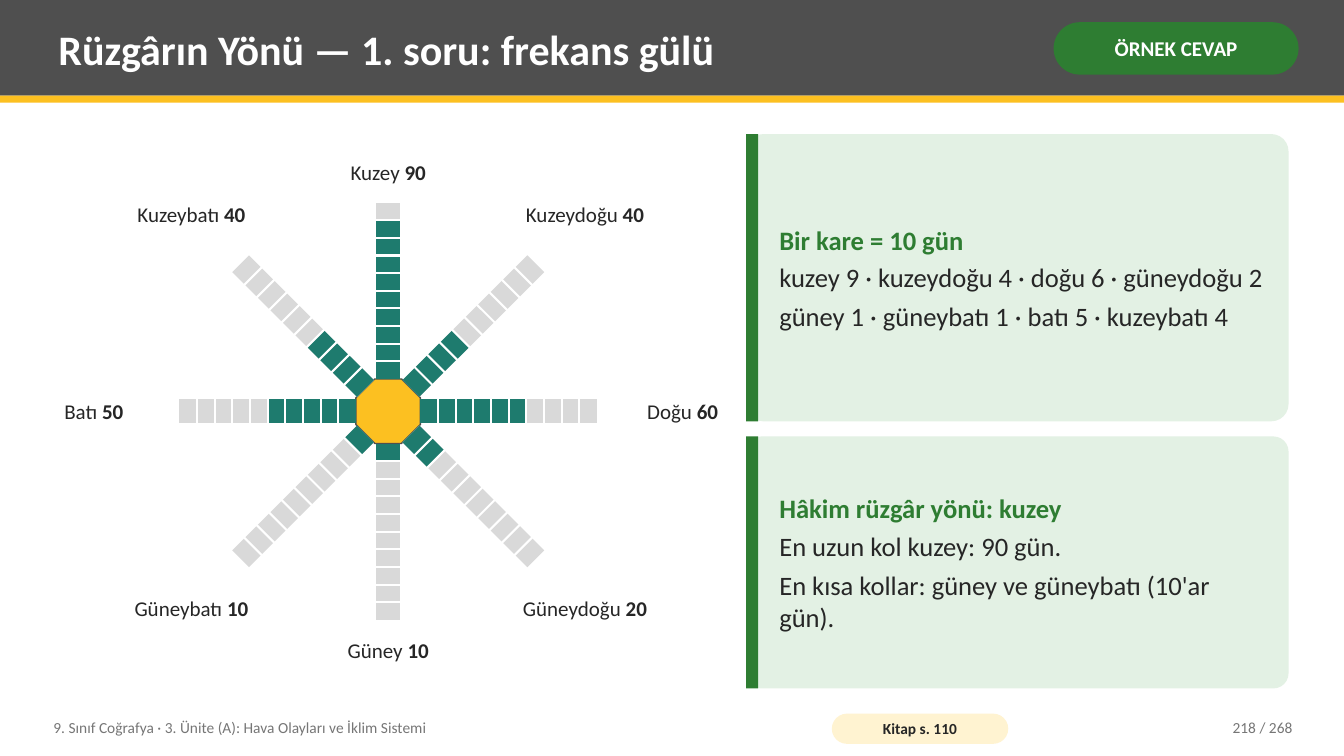
from math import cos, radians, sin

from lxml import etree
from pptx import Presentation
from pptx.dml.color import RGBColor
from pptx.enum.shapes import MSO_CONNECTOR, MSO_SHAPE as Shape
from pptx.enum.text import MSO_ANCHOR, PP_ALIGN as Align
from pptx.oxml.ns import qn
from pptx.util import Pt

PX = 9144  # 100 px to the inch

DARK = RGBColor(0x4F, 0x4F, 0x4F)
GOLD = RGBColor(0xFC, 0xC0, 0x21)
GREEN = RGBColor(0x2E, 0x7D, 0x32)
MINT = RGBColor(0xE3, 0xF1, 0xE4)
TEAL = RGBColor(0x1E, 0x7B, 0x6E)
PALE = RGBColor(0xD9, 0xD9, 0xD9)
CREAM = RGBColor(0xFF, 0xF3, 0xD1)
INK = RGBColor(0x26, 0x26, 0x26)
GREY = RGBColor(0x76, 0x76, 0x76)
WHITE = RGBColor(0xFF, 0xFF, 0xFF)

# Content
TITLE = "Rüzgârın Yönü — 1. soru: frekans gülü"
BADGE = "ÖRNEK CEVAP"
UNIT = "9. Sınıf Coğrafya · 3. Ünite (A): Hava Olayları ve İklim Sistemi"
BOOK = "Kitap s. 110"
PAGE = "218 / 268"

# Direction, days, distance of the label from the centre; clockwise from north
ARMS = [
    ("Kuzey", 90, 237),
    ("Kuzeydoğu", 40, 276),
    ("Doğu", 60, 292),
    ("Güneydoğu", 20, 276),
    ("Güney", 10, 237),
    ("Güneybatı", 10, 276),
    ("Batı", 50, 292),
    ("Kuzeybatı", 40, 276),
]
# Top, height, lines (the first is the heading)
CARDS = [
    (133, 285, ["Bir kare = 10 gün",
                "kuzey 9 · kuzeydoğu 4 · doğu 6 · güneydoğu 2",
                "güney 1 · güneybatı 1 · batı 5 · kuzeybatı 4"]),
    (433, 250, ["Hâkim rüzgâr yönü: kuzey",
                "En uzun kol kuzey: 90 gün.",
                "En kısa kollar: güney ve güneybatı (10'ar gün)."]),
]

# Rose measures
MID_X, MID_Y = 385, 408
HUB, CELL, CELLS, HALF = 32, 17.5, 10, 13
TAG_W, TAG_H = 175, 36

deck = Presentation()
deck.slide_width, deck.slide_height = 1333 * PX, 750 * PX
slide = deck.slides.add_slide(deck.slide_layouts[6])


def emu(*vals):
    return [round(v * PX) for v in vals]


def shape(kind, box, fill, adj=None):
    item = slide.shapes.add_shape(kind, *emu(*box))
    item.shadow.inherit = False
    item.fill.solid()
    item.fill.fore_color.rgb = fill
    item.line.fill.background()
    if adj is not None:
        item.adjustments[0] = adj
    return item


def textbox(box):
    return slide.shapes.add_textbox(*emu(*box))


def frame(item, pad_x=8, pad_y=4):
    area = item.text_frame
    area.word_wrap = True
    area.vertical_anchor = MSO_ANCHOR.MIDDLE
    area.margin_left = area.margin_right = pad_x * PX
    area.margin_top = area.margin_bottom = pad_y * PX
    return area


def style(para, size, color, bold=None, align=Align.LEFT):
    para.alignment = align
    font = para.font
    font.name, font.size, font.bold = "Calibri", Pt(size), bold
    font.color.rgb = color


def write(item, text, size, color, bold=False, align=Align.LEFT, pad=(8, 4)):
    para = frame(item, *pad).paragraphs[0]
    para.text = text
    style(para, size, color, bold, align)


def line(start, end, color, width):
    item = slide.shapes.add_connector(
        MSO_CONNECTOR.STRAIGHT, *emu(*start, *end))
    item.line.color.rgb = color
    item.line.width = Pt(width)
    etree.SubElement(item.element.spPr, qn("a:effectLst"))


def arm(turn, name, days, reach):
    dx, dy = sin(radians(turn)), -cos(radians(turn))

    def spot(dist, side=0):
        return MID_X + dist * dx - side * dy, MID_Y + dist * dy + side * dx

    # Full bar, then the counted cells
    for count, color in ((CELLS, PALE), (days // 10, TEAL)):
        line(spot(HUB), spot(HUB + count * CELL), color, 17)
    # Gaps between cells
    for step in range(1, CELLS):
        dist = HUB + step * CELL
        line(spot(dist, -HALF), spot(dist, HALF), WHITE, 1.5)
    # Label
    x, y = spot(reach)
    tag = textbox((x - TAG_W / 2, y - TAG_H / 2, TAG_W, TAG_H))
    para = frame(tag, 0, 0).paragraphs[0]
    para.add_run().text = name + " "
    value = para.add_run()
    value.text = str(days)
    value.font.bold = True
    style(para, 15, INK, align=Align.CENTER)


def card(top, high, lines):
    left = 740
    shape(Shape.ROUNDED_RECTANGLE, (left, top, 538, high), MINT, 0.06)
    shape(Shape.RECTANGLE, (left, top, 12, high), GREEN)
    area = frame(textbox((left + 25, top + 6, 503, high - 12)))
    for i, text in enumerate(lines):
        para = area.add_paragraph() if i else area.paragraphs[0]
        para.text = text
        style(para, 19, INK if i else GREEN, i == 0)
        if i < len(lines) - 1:
            para.space_after = Pt(5 if i else 4)


# Header
shape(Shape.RECTANGLE, (0, 0, 1333, 95), DARK)
shape(Shape.RECTANGLE, (0, 95, 1333, 7), GOLD)
write(textbox((50, 7, 975, 82)), TITLE, 30, WHITE, True)
badge = shape(Shape.ROUNDED_RECTANGLE, (1045, 22, 243, 52), GREEN, 0.5)
write(badge, BADGE, 15, WHITE, True, Align.CENTER, (5, 2))

# Frequency rose
hub = shape(Shape.OCTAGON, (MID_X - HUB, MID_Y - HUB, 2 * HUB, 2 * HUB),
            GOLD, 0.293)
hub.line.color.rgb = DARK
hub.line.width = Pt(1)
for i, data in enumerate(ARMS):
    arm(i * 360 / len(ARMS), *data)

# Answer cards
for data in CARDS:
    card(*data)

# Footer
write(textbox((45, 704, 760, 36)), UNIT, 11, GREY)
book = shape(Shape.ROUNDED_RECTANGLE, (825, 708, 175, 30), CREAM, 0.5)
write(book, BOOK, 11, INK, True, Align.CENTER, (4, 0))
write(textbox((1130, 704, 160, 36)), PAGE, 11, GREY, align=Align.RIGHT)

deck.save("out.pptx")
